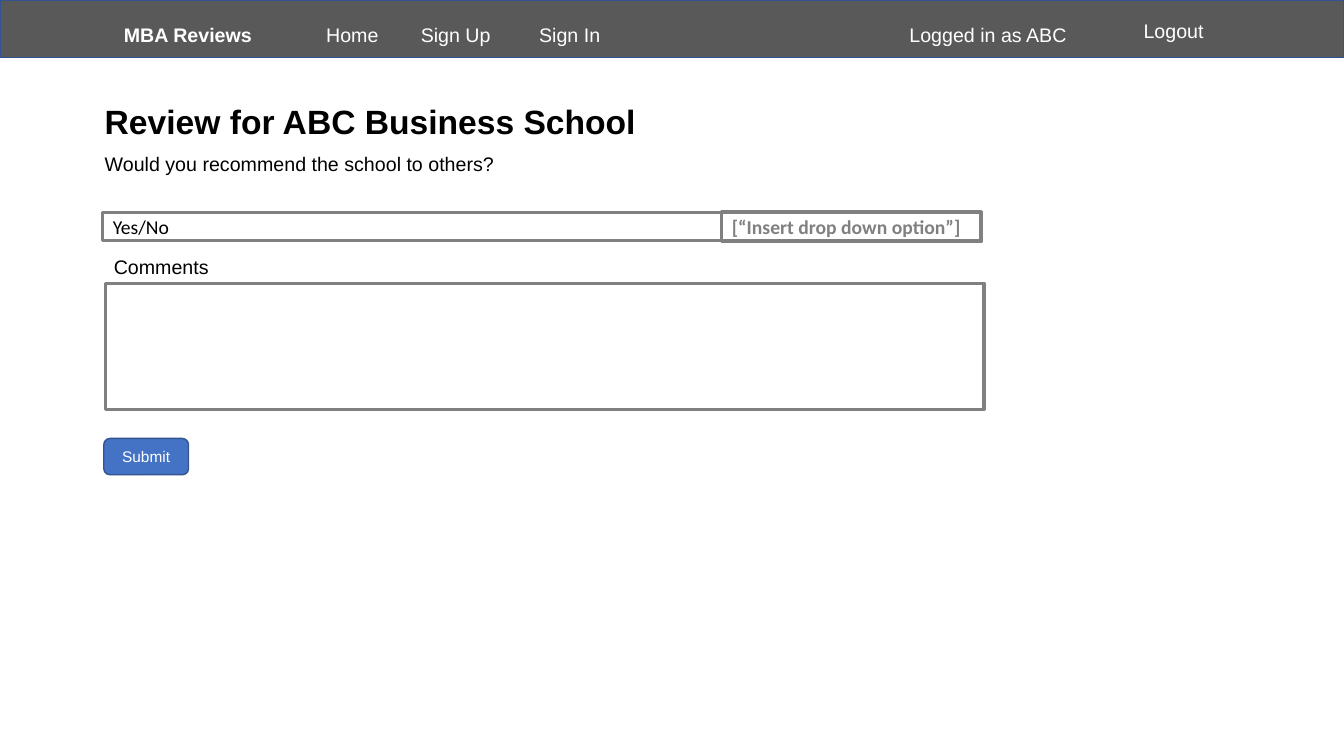
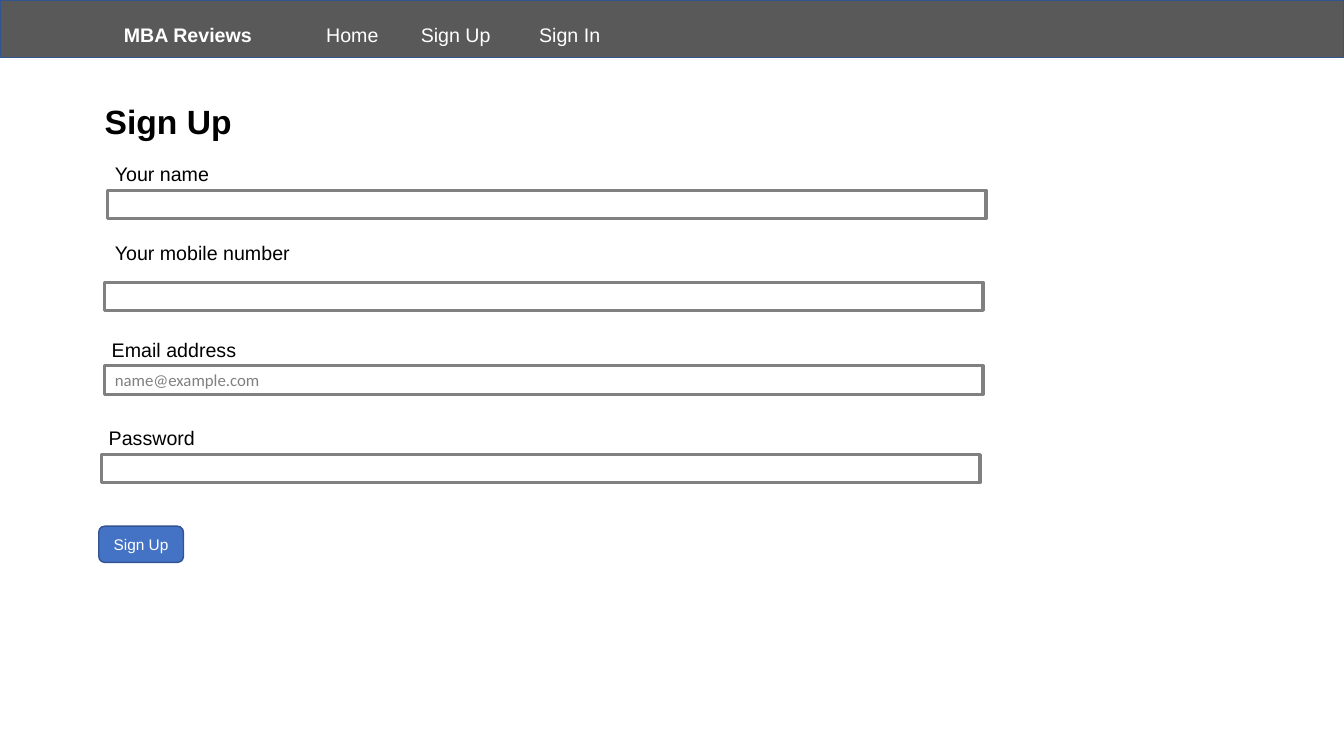
from pptx import Presentation
from pptx.dml.color import RGBColor
from pptx.enum.shapes import MSO_SHAPE
from pptx.enum.text import MSO_ANCHOR, MSO_AUTO_SIZE, PP_ALIGN
from pptx.util import Inches, Pt

COLORS = {
    "bar": "595959",
    "edge": "325491",
    "button": "4472C4",
    "field": "808080",
    "ink": "000000",
    "light": "FFFFFF",
}
WIDE, HIGH = 13.33, 7.5
ROW = 0.34
FIELD = (8.71, 0.28)
BUTTON = (0.84, 0.36)
MENU = [("Home", 3.03, 0.18, 0.93), ("Sign Up", 3.96, 0.18, 1.12),
        ("Sign In", 5.09, 0.18, 1.12)]
USER = [("Logged in as ABC", 8.53, 0.18, 2.54), ("Logout", 11.08, 0.14, 1.12)]
INPUTS = [("Your name", "", 1.04, 1.56, 0.03, 0.33),
          ("Your mobile number", "", 1.04, 2.34, 0, 0.46),
          ("Email address", "name@example.com", 1.01, 3.3, 0.03, 0.33),
          ("Password", "", 0.98, 4.18, 0.03, 0.33)]


def color(name):
    """Return the named colour."""
    return RGBColor.from_string(COLORS[name])


def write(frame, text, size=14, ink="ink", bold=False, font="Arial",
          align=PP_ALIGN.LEFT):
    """Add one styled run to the first paragraph of a frame."""
    frame.word_wrap = True
    line = frame.paragraphs[0]
    line.alignment = align
    run = line.add_run()
    run.text = text
    run.font.name = font
    run.font.size = Pt(size)
    run.font.bold = bold
    run.font.color.rgb = color(ink)


def label(shapes, box, text, **style):
    """Place a text box that grows with its text."""
    frame = shapes.add_textbox(*map(Inches, box)).text_frame
    write(frame, text, **style)
    frame.auto_size = MSO_AUTO_SIZE.SHAPE_TO_FIT_TEXT


def panel(shapes, box, fill=None, edge="edge", width=1,
          kind=MSO_SHAPE.RECTANGLE):
    """Place an outlined shape and return its text frame."""
    shape = shapes.add_shape(kind, *map(Inches, box))
    shape.shadow.inherit = False
    if fill:
        shape.fill.solid()
        shape.fill.fore_color.rgb = color(fill)
    else:
        shape.fill.background()
    shape.line.color.rgb = color(edge)
    shape.line.width = Pt(width)
    shape.text_frame.vertical_anchor = MSO_ANCHOR.MIDDLE
    return shape.text_frame


def field(shapes, box, text="", **style):
    """Place a form field, with text if any."""
    frame = panel(shapes, box, edge="field", width=2.25)
    if text:
        write(frame, text, font="Calibri", **style)


def button(shapes, left, top, text):
    """Place a rounded button."""
    frame = panel(shapes, (left, top, *BUTTON), "button",
                  kind=MSO_SHAPE.ROUNDED_RECTANGLE)
    write(frame, text, 11, "light", align=PP_ALIGN.CENTER)


def header(shapes, box, links):
    """Place the top bar with the site name and links."""
    left, top = box[:2]
    panel(shapes, box, "bar")
    group = shapes.add_group_shape().shapes
    label(group, (left + 1.13, top + 0.18, 1.99, ROW), "MBA Reviews",
          ink="light", bold=True)
    for text, x, y, width in links:
        label(group, (left + x, top + y, width, ROW), text,
              ink="light", align=PP_ALIGN.CENTER)


def page(deck, title, links):
    """Add a slide with header and title, and return its shapes."""
    shapes = deck.slides.add_slide(deck.slide_layouts[6]).shapes
    header(shapes, (0, 0, WIDE, 0.57), links)
    label(shapes, (0.94, 0.95, 6.92, 0.5), title, size=24, bold=True)
    return shapes


def choice(shapes, left, top):
    """Place the answer field with its drop-down."""
    group = shapes.add_group_shape().shapes
    wide, high = FIELD
    field(group, (left, top, wide, high), "Yes/No")
    drop = 2.57
    field(group, (left + wide - drop, top - 0.01, drop, high + 0.02),
          "[“Insert drop down option”]", ink="field", bold=True)


def review(deck):
    """Build the review form."""
    shapes = page(deck, "Review for ABC Business School", MENU + USER)
    label(shapes, (0.94, 1.46, 5.17, ROW),
          "Would you recommend the school to others?")
    field(shapes, (1.05, 2.81, FIELD[0], 1.25))
    label(shapes, (1.03, 2.48, 3.21, ROW), "Comments")
    choice(shapes, 1.02, 2.11)
    button(shapes, 1.03, 4.35, "Submit")


def signup(deck):
    """Build the sign-up form."""
    shapes = page(deck, "Sign Up", MENU)
    for text, hint, left, top, shift, drop in INPUTS:
        label(shapes, (left, top, 3.21, ROW), text)
        field(shapes, (left + shift, top + drop, *FIELD), hint,
              size=12, ink="field")
    button(shapes, 0.98, 5.22, "Sign Up")


def main():
    """Build and save the deck."""
    deck = Presentation()
    deck.slide_width, deck.slide_height = Inches(WIDE), Inches(HIGH)
    review(deck)
    signup(deck)
    deck.save("out.pptx")


main()
